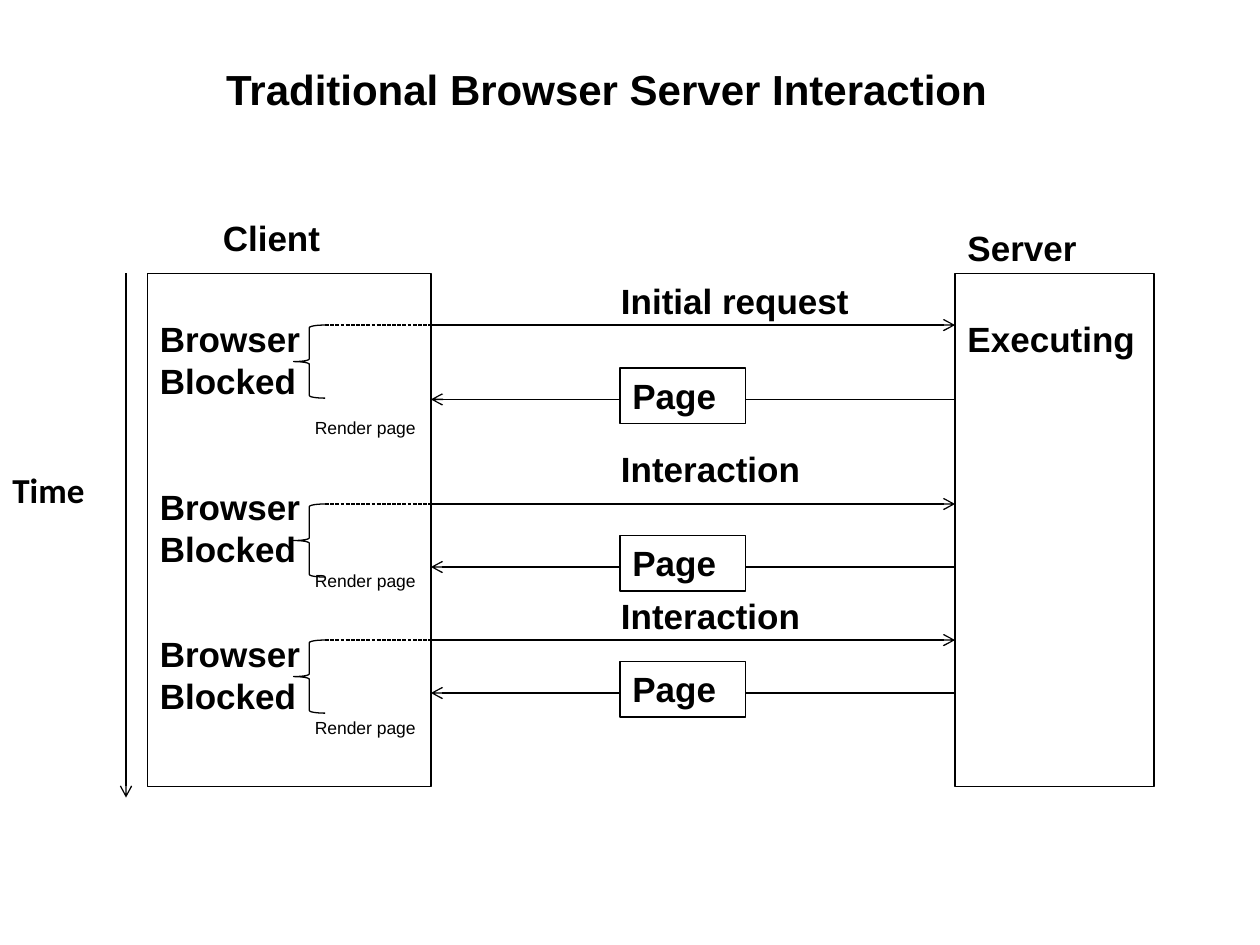
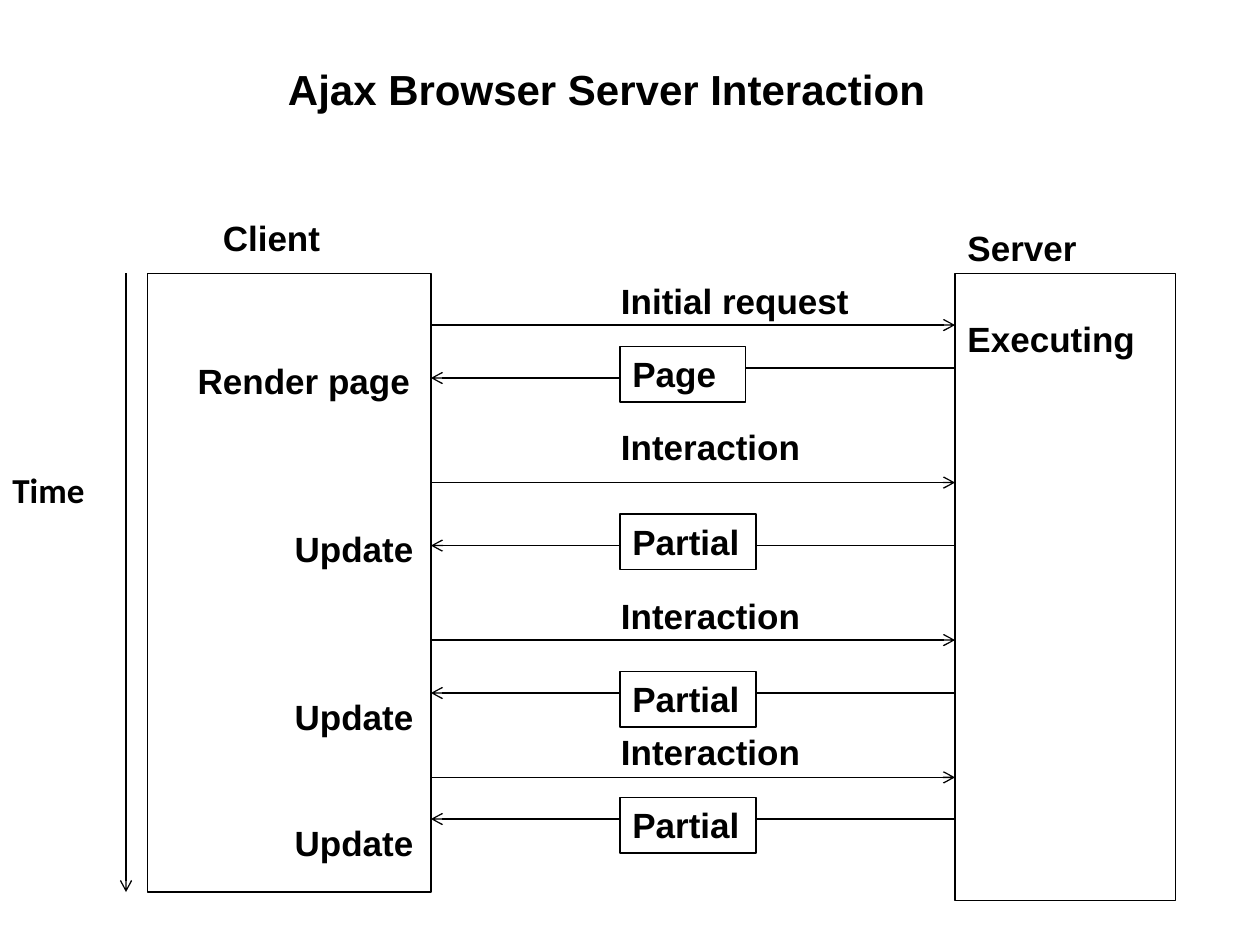
from lxml.etree import SubElement
from pptx import Presentation
from pptx.dml.color import RGBColor
from pptx.enum.dml import MSO_LINE
from pptx.enum.shapes import MSO_CONNECTOR, MSO_SHAPE
from pptx.enum.text import MSO_ANCHOR, PP_ALIGN
from pptx.oxml.ns import qn
from pptx.util import Inches, Pt

# Content: client lines are (text, style, space before in points);
# exchanges are (label, label top, request y, answer, answer top, reply y, server y)
SLIDES = [
    {
        "title": "Traditional Browser Server Interaction",
        "client_height": 4.07, "client_inset": 0.35,
        "server_width": 1.58, "server_height": 4.07, "time_end": 6.33,
        "blocked": True,
        "client_lines": [
            ("Browser", "label", 0), ("Blocked", "label", 0), ("Render page", "small", 9),
            ("Browser", "label", 27), ("Blocked", "label", 0), ("Render page", "small", 0),
            ("Browser", "label", 24), ("Blocked", "label", 0), ("Render page", "small", 0),
        ],
        "exchanges": [
            ("Initial request", 2.17, 2.58, "Page", 2.92, 3.17, 3.17),
            ("Interaction", 3.5, 4, "Page", 4.25, 4.5, 4.5),
            ("Interaction", 4.67, 5.08, "Page", 5.25, 5.5, 5.5),
        ],
    },
    {
        "title": "Ajax Browser Server Interaction",
        "client_height": 4.91, "client_inset": 0.68,
        "server_width": 1.75, "server_height": 4.98, "time_end": 7.08,
        "blocked": False,
        "client_lines": [
            ("Render page", "render", 0), ("Update", "update", 72),
            ("Update", "update", 72), ("Update", "update", 48),
        ],
        "exchanges": [
            ("Initial request", 2.17, 2.58, "Page", 2.75, 3, 2.92),
            ("Interaction", 3.33, 3.83, "Partial", 4.08, 4.33, 4.33),
            ("Interaction", 4.67, 5.08, "Partial", 5.33, 5.5, 5.5),
            ("Interaction", 5.75, 6.17, "Partial", 6.33, 6.5, 6.5),
        ],
    },
]

# Shared look
COLORS = {"ink": "000000", "paper": "FFFFFF"}
STYLES = {
    "title": {"name": "Arial", "size": Pt(24), "bold": True},
    "label": {"name": "Arial", "size": Pt(20), "bold": True},
    "time": {"name": "Calibri", "size": Pt(20), "bold": True},
    "small": {"name": "Arial", "size": Pt(10), "bold": False},
}
STYLES["render"] = STYLES["update"] = STYLES["label"]
INDENTS = {"small": 1.23, "render": 0.3, "update": 1.07}

# Shared places, in inches
TOP, CLIENT_LEFT, CLIENT_WIDTH, SERVER_LEFT = 2.17, 1.17, 2.25, 7.58
CLIENT_RIGHT = CLIENT_LEFT + CLIENT_WIDTH
LABEL_LEFT, LABEL_WIDTH, ROW_HEIGHT = 4.83, 2.08, 0.44
ANSWER_LEFT, ANSWER_WIDTHS = 4.92, {"Page": 1, "Partial": 1.08}
BRACE_LEFT, BRACE_WIDTH, BRACE_HEIGHT = 2.33, 0.25, 0.58
TIME_X = 1


def color(name):
    return RGBColor.from_string(COLORS[name])


def write(box, lines, top_inset=0.05, align=PP_ALIGN.LEFT, anchor=MSO_ANCHOR.TOP):
    frame = box.text_frame
    settings = {"word_wrap": True, "vertical_anchor": anchor, "margin_left": Inches(0.1),
                "margin_right": Inches(0.05), "margin_top": Inches(top_inset)}
    for key, value in settings.items():
        setattr(frame, key, value)
    for index, (text, style, gap) in enumerate(lines):
        para = frame.paragraphs[0] if index == 0 else frame.add_paragraph()
        para.alignment = align
        if gap:
            para.space_before = Pt(gap)
        if style in INDENTS:
            para._p.get_or_add_pPr().set("marL", str(Inches(INDENTS[style])))
        span = para.add_run()
        span.text = text
        for key, value in STYLES[style].items():
            setattr(span.font, key, value)
        span.font.color.rgb = color("ink")


def add_text(page, text, left, top, width, height=ROW_HEIGHT, style="label", **layout):
    box = page.shapes.add_textbox(Inches(left), Inches(top), Inches(width), Inches(height))
    write(box, [(text, style, 0)], **layout)


def add_outline(page, kind, left, top, width, height):
    shape = page.shapes.add_shape(kind, Inches(left), Inches(top), Inches(width), Inches(height))
    shape.shadow.inherit = False
    shape.fill.background()
    shape.line.color.rgb = color("ink")
    shape.line.width = Pt(0.75)
    return shape


def add_line(page, start, end, arrow=False, dash=None):
    line = page.shapes.add_connector(MSO_CONNECTOR.STRAIGHT, *map(Inches, start + end))
    line.line.color.rgb = color("ink")
    line.line.width = Pt(0.75)
    if dash:
        line.line.dash_style = dash
    properties = line._element.spPr
    if arrow:
        SubElement(properties.find(qn("a:ln")), qn("a:tailEnd"), type="arrow")
    SubElement(properties, qn("a:effectLst"))


def add_frame(page, content):
    """Title, time axis, client and server."""
    add_text(page, content["title"], 0.75, 0.33, 8.08, 0.75, "title",
             align=PP_ALIGN.CENTER, anchor=MSO_ANCHOR.MIDDLE)
    client = add_outline(page, MSO_SHAPE.RECTANGLE, CLIENT_LEFT, TOP,
                         CLIENT_WIDTH, content["client_height"])
    write(client, content["client_lines"], content["client_inset"])
    server = add_outline(page, MSO_SHAPE.RECTANGLE, SERVER_LEFT, TOP,
                         content["server_width"], content["server_height"])
    write(server, [("Executing", "label", 0)], 0.35)
    add_text(page, "Client", 1.67, 1.67, 1)
    add_text(page, "Server", SERVER_LEFT, 1.75, 1.17)
    add_text(page, "Time", 0, 3.67, 0.83, style="time")
    add_line(page, (TIME_X, TOP), (TIME_X, content["time_end"]), arrow=True)


def add_exchange(page, label, label_top, request_y, answer, answer_top, reply_y, server_y):
    """Request to the server and the answer that comes back."""
    add_text(page, label, LABEL_LEFT, label_top, LABEL_WIDTH)
    add_line(page, (CLIENT_RIGHT, request_y), (SERVER_LEFT, request_y), arrow=True)
    width = ANSWER_WIDTHS[answer]
    box = add_outline(page, MSO_SHAPE.RECTANGLE, ANSWER_LEFT, answer_top, width, ROW_HEIGHT)
    write(box, [(answer, "label", 0)])
    add_line(page, (ANSWER_LEFT + width, server_y), (SERVER_LEFT, server_y))
    add_line(page, (ANSWER_LEFT, reply_y), (CLIENT_RIGHT, reply_y), arrow=True)


def add_blocked_span(page, y):
    """Brace and dashed lead for the time the browser waits."""
    add_outline(page, MSO_SHAPE.LEFT_BRACE, BRACE_LEFT, y, BRACE_WIDTH, BRACE_HEIGHT)
    add_line(page, (BRACE_LEFT + BRACE_WIDTH, y), (CLIENT_RIGHT, y),
             dash=MSO_LINE.SQUARE_DOT)


def main():
    deck = Presentation()
    deck.slide_width, deck.slide_height = Inches(10), Inches(7.5)
    for content in SLIDES:
        page = deck.slides.add_slide(deck.slide_layouts[6])
        page.background.fill.solid()
        page.background.fill.fore_color.rgb = color("paper")
        add_frame(page, content)
        for exchange in content["exchanges"]:
            add_exchange(page, *exchange)
            if content["blocked"]:
                add_blocked_span(page, exchange[2])
    deck.save("out.pptx")


if __name__ == "__main__":
    main()
